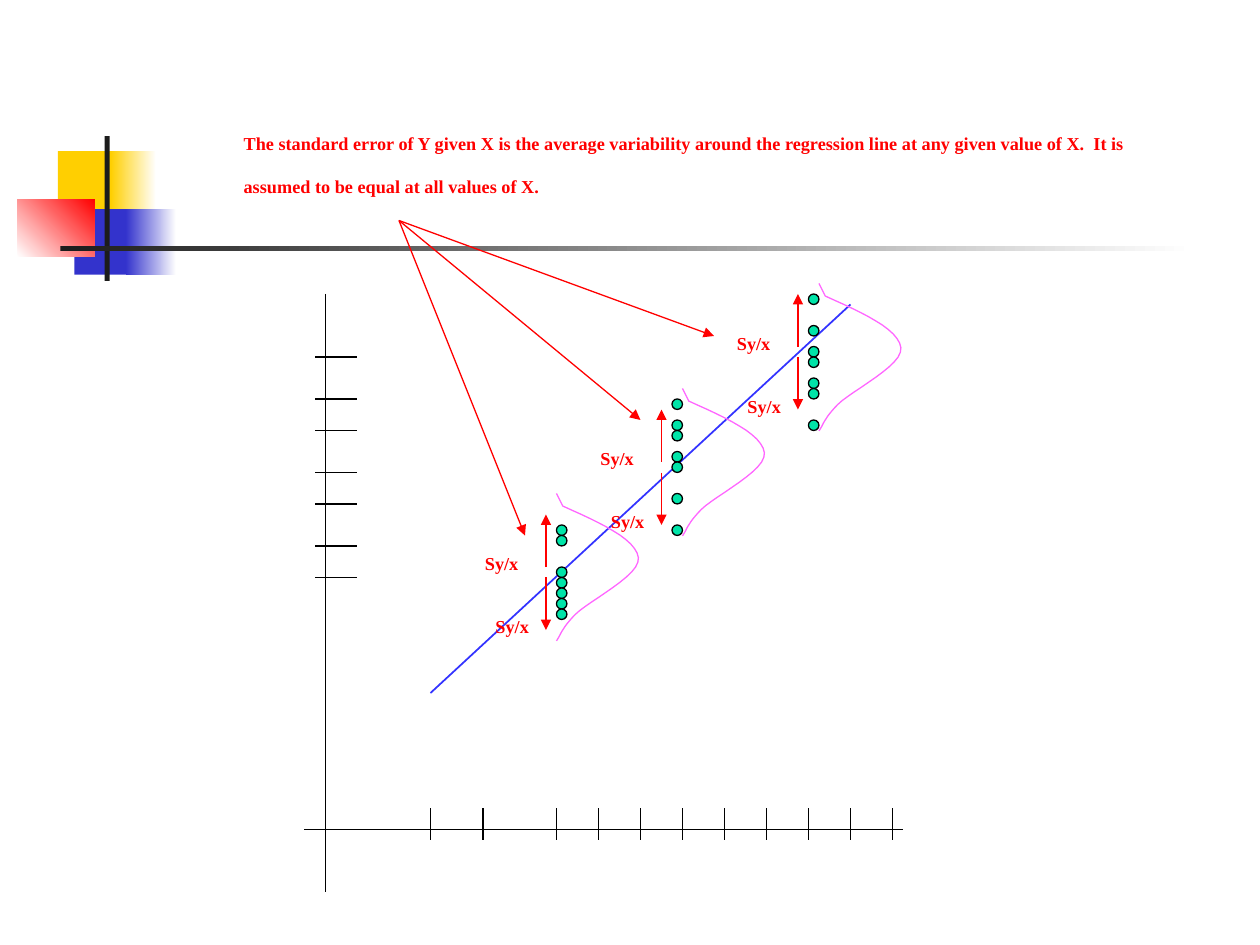
import pptx
import pptx.dml.color
import pptx.enum.shapes
import pptx.enum.text
import pptx.oxml
import pptx.oxml.ns
import pptx.util

Inches = pptx.util.Inches
Pt = pptx.util.Pt
SHAPE = pptx.enum.shapes.MSO_SHAPE

BLACK, RED, BLUE, PINK, GREEN = "000000", "FF0000", "3333FF", "FF66FF", "00E4A8"
YELLOW, NAVY, WHITE, CHARCOAL = "FFCF01", "3333CC", "FFFFFF", "1C1C1C"

# Bell curve relative to its top left corner, in thousandths of an inch:
# start, then cubic segments
BELL_START = (50, 100)
BELL_SEGMENTS = [
    [(340, 230), (630, 360), (650, 510)],
    [(670, 650), (260, 850), (150, 960)],
    [(40, 1070), (30, 1130), (0, 1170)],
]

# Positions on the chart grid: tip of the upper arrow, dot column and rows, bell corner
CLUSTERS = [
    {"tip": (52, 49), "column": 53, "rows": [50, 51, 54, 55, 56, 57, 58], "bell": (53, 47)},
    {"tip": (63, 39), "column": 64, "rows": [38, 40, 41, 43, 44, 47, 50], "bell": (65, 37)},
    {"tip": (76, 28), "column": 77, "rows": [28, 31, 33, 34, 36, 37, 40], "bell": (78, 27)},
]


def rgb(hex_color):
    return pptx.dml.color.RGBColor.from_string(hex_color)


def grid(*steps):
    """Convert chart grid steps, twelve to the inch, to lengths."""
    return [Inches(step / 12) for step in steps]


def add_line(slide, start, end, color=BLACK, width=0.75, arrow=False):
    connector = slide.shapes.add_connector(
        pptx.enum.shapes.MSO_CONNECTOR.STRAIGHT, *grid(*start, *end))
    connector.line.color.rgb = rgb(color)
    connector.line.width = Pt(width)
    properties = connector._element.spPr
    if arrow:
        head = pptx.oxml.parse_xml(
            f'<a:tailEnd {pptx.oxml.ns.nsdecls("a")} type="triangle"/>')
        connector.line._get_or_add_ln().append(head)
    properties.append(pptx.oxml.parse_xml(f'<a:effectLst {pptx.oxml.ns.nsdecls("a")}/>'))


def add_block(slide, box, color, fade_to=None, angle=0):
    block = slide.shapes.add_shape(SHAPE.RECTANGLE, *map(Inches, box))
    block.shadow.inherit = False
    block.line.fill.background()
    if fade_to is None:
        block.fill.solid()
        block.fill.fore_color.rgb = rgb(color)
        return
    block.fill.gradient()
    block.fill.gradient_angle = angle
    for stop, stop_color in zip(block.fill.gradient_stops, (color, fade_to)):
        stop.color.rgb = rgb(stop_color)


def add_ornament(slide, left, top):
    """Overlapping colour blocks with a crossing post and fading rule."""
    for x, y, width, height, *colors in [
        (0.32, 0.12, 0.48, 0.52, YELLOW),
        (0.74, 0.12, 0.36, 0.52, YELLOW, WHITE),
        (0.45, 0.58, 0.46, 0.52, NAVY),
        (0.86, 0.58, 0.4, 0.52, NAVY, WHITE),
        (0, 0.5, 0.61, 0.46, WHITE, RED, 45),
        (0.69, 0, 0.04, 1.15, CHARCOAL),
        (0.34, 0.87, 9, 0.04, CHARCOAL, WHITE),
    ]:
        add_block(slide, (left + x, top + y, width, height), *colors)


def write_red(frame, text):
    """Fill a text frame with bold red lowered text."""
    frame.word_wrap = True
    frame.vertical_anchor = pptx.enum.text.MSO_ANCHOR.TOP
    paragraph = frame.paragraphs[0]
    paragraph.alignment = pptx.enum.text.PP_ALIGN.LEFT
    run = paragraph.add_run()
    run.text = text
    for font in (paragraph.font, run.font):
        font.name = "Times New Roman"
        font.size = Pt(18)
        font.bold = True
        font.color.rgb = rgb(RED)
    run.font._element.set("baseline", "-25000")


def add_headline(slide, left, top, width, height):
    headline = slide.shapes.title
    headline.left, headline.top, headline.width, headline.height = grid(left, top, width, height)
    headline.text_frame.auto_size = pptx.enum.text.MSO_AUTO_SIZE.NONE
    write_red(headline.text_frame,
              "The standard error of Y given X is the average variability around the "
              "regression line at any given value of X.  It is assumed to be equal at "
              "all values of X.")


def add_axes(slide, x, y):
    """Axes crossing at grid point x, y, with their ticks."""
    add_line(slide, (x, y - 51), (x, y + 6))
    add_line(slide, (x - 2, y), (x + 55, y))
    for tick in [10, 15, *range(22, 55, 4)]:
        add_line(slide, (x + tick, y - 2), (x + tick, y + 1))
    for tick in [24, 27, 31, 34, 38, 41, 45]:
        add_line(slide, (x - 1, y - tick), (x + 3, y - tick))


def add_bell(slide, left, top):
    points = [(0, 0), BELL_START]
    for c1, c2, end in BELL_SEGMENTS:
        start = points[-1]
        for step in range(1, 13):
            t = step / 12
            weights = ((1 - t) ** 3, 3 * t * (1 - t) ** 2, 3 * t ** 2 * (1 - t), t ** 3)
            points.append(tuple(
                sum(weight * value for weight, value in zip(weights, values))
                for values in zip(start, c1, c2, end)))
    builder = slide.shapes.build_freeform(0, 0, scale=Inches(1) / 1000)
    builder.add_line_segments(points[1:], close=False)
    bell = builder.convert_to_shape(*grid(left, top))
    bell.shadow.inherit = False
    bell.fill.background()
    bell.line.color.rgb = rgb(PINK)
    bell.line.width = Pt(0.75)


def add_deviation(slide, start, end, label_at):
    add_line(slide, start, end, RED, arrow=True)
    label = slide.shapes.add_textbox(*grid(*label_at, 10, 4.8))
    write_red(label.text_frame, "Sy/x")


def add_cluster(slide, tip, column, rows, bell):
    """Observations at one X value, their bell curve and both deviations."""
    for row in rows:
        dot = slide.shapes.add_shape(SHAPE.OVAL, *grid(column, row, 1, 1))
        dot.shadow.inherit = False
        dot.fill.solid()
        dot.fill.fore_color.rgb = rgb(GREEN)
        dot.line.color.rgb = rgb(BLACK)
        dot.line.width = Pt(0.75)
    add_bell(slide, *bell)
    x, y = tip
    add_deviation(slide, (x, y + 5), tip, (x - 7, y + 1))
    add_deviation(slide, (x, y + 6), (x, y + 11), (x - 6, y + 7))


def main():
    deck = pptx.Presentation()
    deck.slide_width, deck.slide_height = Inches(10), Inches(7.5)
    slide = deck.slides.add_slide(deck.slide_layouts[5])
    add_ornament(slide, 0.14, 1.08)
    add_headline(slide, 22, 10, 91, 12)
    add_axes(slide, 31, 79)
    add_line(slide, (41, 66), (81, 29), BLUE, width=1)
    for cluster in CLUSTERS:
        add_cluster(slide, **cluster)
    for target in [(68, 32), (61, 40), (50, 51)]:
        add_line(slide, (38, 21), target, RED, arrow=True)
    deck.save("out.pptx")


if __name__ == "__main__":
    main()
